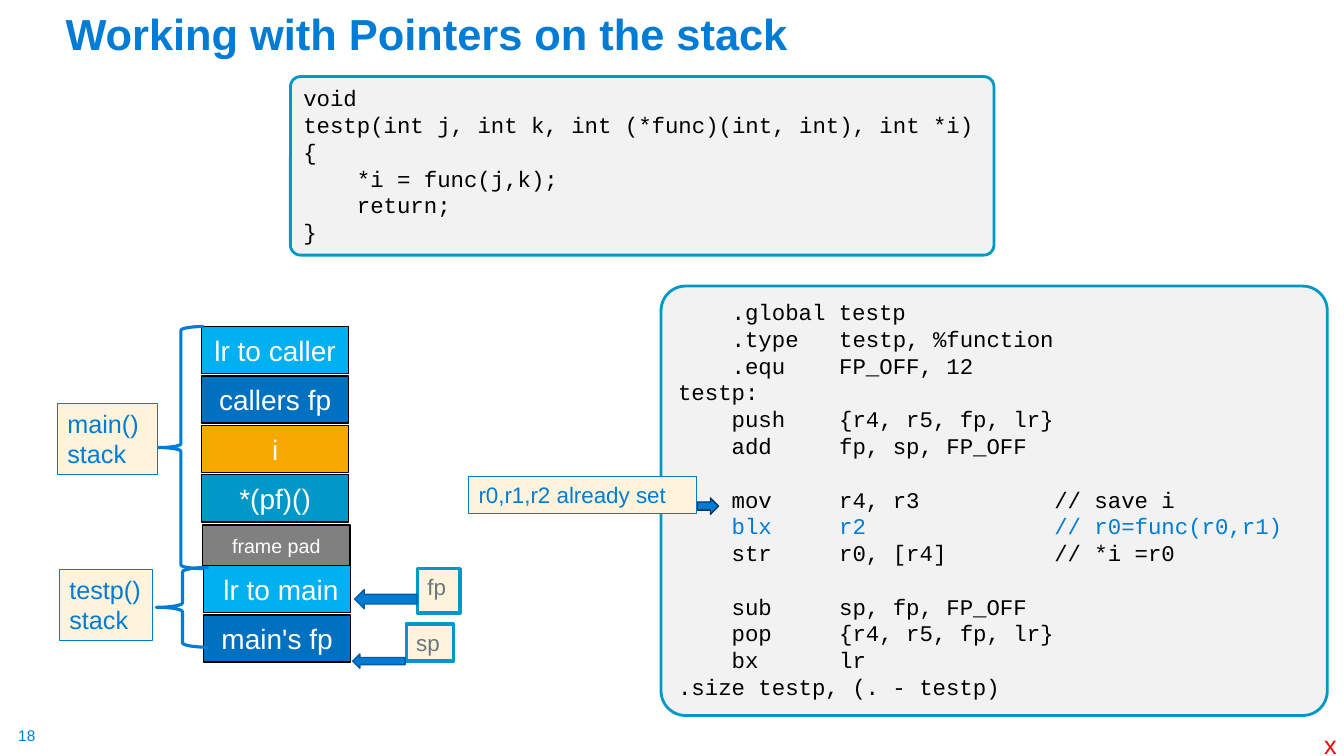
from dataclasses import dataclass

import pptx
import pptx.dml.color
import pptx.enum.shapes
import pptx.enum.text
import pptx.oxml
import pptx.oxml.ns
import pptx.util

Cm, Pt = pptx.util.Cm, pptx.util.Pt
Kind = pptx.enum.shapes.MSO_SHAPE
Align = pptx.enum.text.PP_ALIGN
Anchor = pptx.enum.text.MSO_ANCHOR

BLUE, TEAL, SKY, NAVY = "007CD5", "0098C9", "00B0F0", "0070C0"
WHITE, BLACK, CREAM, GRAY = "FFFFFF", "000000", "FFF4DB", "6B767D"
CODE_TABS = (1.35, 4.06, 9.48)  # columns 4, 12 and 28 of the listing
CODE_PITCH = 19.15


@dataclass
class Line:
    text: str
    color: str = BLACK
    gap: float = 0


@dataclass
class Code:
    left: float
    top: float
    width: float
    height: float
    lines: list[Line]


@dataclass
class Slot:
    text: str
    left: float
    top: float
    fill: str
    height: float = 1.19
    size: int = 20


@dataclass
class Note:
    text: str
    left: float
    top: float
    width: float
    height: float
    size: int = 18
    color: str = BLUE
    edge: str = BLUE
    weight: float = 0.75


@dataclass
class Mark:
    """A block arrow or a brace."""
    kind: Kind
    left: float
    top: float
    width: float
    height: float
    edge: str
    weight: float = 1
    fill: str | None = BLUE


PROTO = [Line(t) for t in (
    "void", "testp(int j, int k, int (*func)(int, int), int *i)", "{",
    "\t*i = func(j,k);", "\treturn;", "}")]
ASM = [
    Line("\t.global testp"),
    Line("\t.type\ttestp, %function"),
    Line("\t.equ\tFP_OFF, 12"),
    Line("testp:"),
    Line("\tpush\t{r4, r5, fp, lr}"),
    Line("\tadd\tfp, sp, FP_OFF"),
    Line("\tmov\tr4, r3\t// save i", gap=CODE_PITCH),
    Line("\tblx\tr2\t// r0=func(r0,r1)", BLUE),
    Line("\tstr\tr0, [r4]\t// *i =r0"),
    Line("\tsub\tsp, fp, FP_OFF", gap=CODE_PITCH),
    Line("\tpop\t{r4, r5, fp, lr}"),
    Line("\tbx\tlr"),
    Line(".size testp, (. - testp)"),
]
CODES = [Code(7.32, 1.93, 17.73, 4.5, PROTO), Code(16.66, 7.21, 16.79, 10.82, ASM)]

STEP = 1.245
MAIN = [("lr to caller", SKY), ("callers fp", NAVY), ("i", "F7A901"), ("*(pf)()", TEAL)]
TESTP = [(" lr to main", SKY), ("main's fp", NAVY)]
SLOTS = [
    *(Slot(t, 5.08, 8.23 + n * STEP, c) for n, (t, c) in enumerate(MAIN)),
    Slot("frame pad", 5.11, 13.23, "808080", 1.04, 14),
    *(Slot(t, 5.13, 14.25 + n * STEP, c) for n, (t, c) in enumerate(TESTP)),
]
NOTES = [
    Note("r0,r1,r2 already set", 11.81, 12.01, 5.74, 0.94, 16),
    Note("fp", 10.52, 14.33, 1.07, 1.12, 16, GRAY, TEAL, 2.5),
    Note("sp", 10.24, 15.72, 1.19, 0.94, 16, GRAY, TEAL, 2.5),
    Note("testp()\nstack", 1.5, 14.35, 2.34, 1.8),
    Note("main()\nstack", 1.45, 10.16, 2.51, 1.8),
]
MARKS = [
    Mark(Kind.RIGHT_ARROW, 17.58, 12.55, 0.53, 0.41, "00365D"),
    Mark(Kind.LEFT_ARROW, 8.94, 14.86, 1.57, 0.48, "005C9E"),
    Mark(Kind.LEFT_ARROW, 8.89, 16.48, 1.32, 0.36, "005C9E"),
    Mark(Kind.LEFT_BRACE, 3.99, 8.23, 1.14, 6.1, BLUE, 2.25, None),
    Mark(Kind.LEFT_BRACE, 3.94, 14.3, 1.32, 2.01, BLUE, 2.25, None),
]


def rgb(code: str) -> pptx.dml.color.RGBColor:
    return pptx.dml.color.RGBColor.from_string(code)


def write(para, text: str, *, size: float, color: str, font: str = "Arial",
          bold: bool = False, align: Align = Align.LEFT) -> None:
    para.alignment = align
    run = para.add_run()
    run.text = text
    run.font.name, run.font.size, run.font.bold = font, Pt(size), bold
    run.font.color.rgb = rgb(color)


def shape(slide, kind: Kind, item, fill: str | None, edge: str, weight: float,
          width: float | None = None):
    item_width = item.width if width is None else width
    form = slide.shapes.add_shape(kind, Cm(item.left), Cm(item.top),
                                  Cm(item_width), Cm(item.height))
    form.shadow.inherit = False
    if fill:
        form.fill.solid()
        form.fill.fore_color.rgb = rgb(fill)
    else:
        form.fill.background()
    form.line.color.rgb = rgb(edge)
    form.line.width = Pt(weight)
    form.text_frame.word_wrap = True
    return form


def paras(frame, count: int):
    """Return the first paragraph and as many new ones as are needed."""
    return [frame.paragraphs[0], *(frame.add_paragraph() for _ in range(count - 1))]


def set_tabs(para) -> None:
    tabs = pptx.oxml.parse_xml(f"<a:tabLst {pptx.oxml.ns.nsdecls('a')}/>")
    for stop in CODE_TABS:
        tab = tabs.makeelement(pptx.oxml.ns.qn("a:tab"), {"pos": str(Cm(stop)), "algn": "l"})
        tabs.append(tab)
    para._p.get_or_add_pPr().append(tabs)


def draw_code(slide, code: Code) -> None:
    form = shape(slide, Kind.ROUNDED_RECTANGLE, code, "F2F2F2", TEAL, 2)
    form.adjustments[0] = 0.057
    frame = form.text_frame
    frame.vertical_anchor = Anchor.TOP
    for para, line in zip(paras(frame, len(code.lines)), code.lines):
        write(para, line.text, size=16, color=line.color, font="Courier New")
        para.line_spacing = Pt(CODE_PITCH)
        para.space_before = Pt(line.gap)
        set_tabs(para)


def draw_slot(slide, slot: Slot) -> None:
    frame = shape(slide, Kind.RECTANGLE, slot, slot.fill, BLACK, 1, 3.71).text_frame
    frame.vertical_anchor = Anchor.MIDDLE
    write(frame.paragraphs[0], slot.text, size=slot.size, color=WHITE, align=Align.CENTER)


def draw_note(slide, note: Note) -> None:
    frame = shape(slide, Kind.RECTANGLE, note, CREAM, note.edge, note.weight).text_frame
    frame.vertical_anchor = Anchor.TOP
    frame.margin_right = 0
    lines = note.text.split("\n")
    for para, text in zip(paras(frame, len(lines)), lines):
        write(para, text, size=note.size, color=note.color)


def label(slide, text: str, left: float, top: float, size: float, color: str) -> None:
    box = slide.shapes.add_textbox(Cm(left), Cm(top), Cm(0.6), Cm(0.48))
    frame = box.text_frame
    frame.margin_left = frame.margin_top = frame.margin_right = frame.margin_bottom = 0
    frame.word_wrap = True
    write(frame.paragraphs[0], text, size=size, color=color)


def main() -> None:
    deck = pptx.Presentation()
    deck.slide_width, deck.slide_height = Cm(33.87), Cm(19.05)
    slide = deck.slides.add_slide(deck.slide_layouts[5])
    title = slide.shapes.title
    title.left, title.top, title.width, title.height = Cm(1.4), Cm(0.33), Cm(29.21), Cm(1.32)
    title.text_frame.vertical_anchor = Anchor.BOTTOM
    head = title.text_frame.paragraphs[0]
    head.line_spacing = 0.9
    write(head, "Working with Pointers on the stack", size=31, color=BLUE, bold=True)
    for code in CODES:
        draw_code(slide, code)
    for slot in SLOTS:
        draw_slot(slide, slot)
    for note in NOTES:
        draw_note(slide, note)
    for mark in MARKS:
        shape(slide, mark.kind, mark, mark.fill, mark.edge, mark.weight)
    label(slide, "18", 0.46, 18.31, 11, BLUE)
    label(slide, "x", 33.37, 18.37, 18, "FF0000")
    deck.save("out.pptx")


if __name__ == "__main__":
    main()
